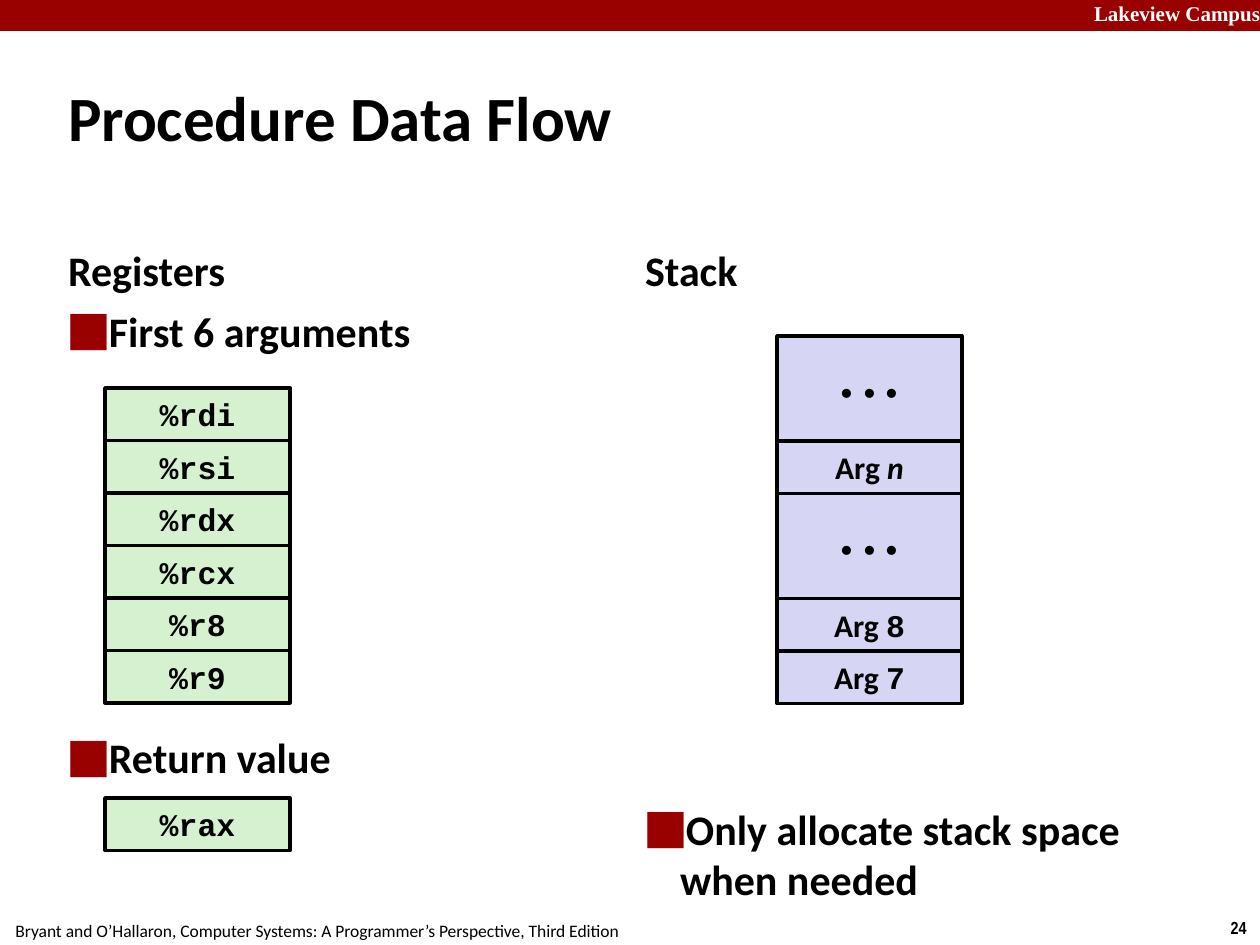
from lxml.etree import SubElement
from pptx import Presentation
from pptx.dml.color import RGBColor
from pptx.enum.shapes import MSO_SHAPE as Shape
from pptx.enum.text import MSO_ANCHOR as Anchor, MSO_AUTO_SIZE as AutoSize, PP_ALIGN as Align
from pptx.oxml.ns import qn
from pptx.util import Emu, Pt

# Content
TITLE = "Procedure Data Flow"
HEADINGS = ["Registers", "Stack"]
REGISTER_POINTS = [("First 6 arguments", 0), ("Return value", 215)]  # text, space before
STACK_POINTS = [("Only allocate stack space when needed", 0)]
ARGUMENT_REGISTERS = ["%rdi", "%rsi", "%rdx", "%rcx", "%r8", "%r9"]
RETURN_REGISTER = "%rax"
DOTS = "• • •"
STACK_ROWS = [DOTS, "n", DOTS, "8", "7"]  # top to bottom
SCHOOL = "Lakeview Campus"
BOOK = "Bryant and O’Hallaron, Computer Systems: A Programmer’s Perspective, Third Edition"
PAGE_NUMBER = "24"

# Style
BLACK = RGBColor(0x00, 0x00, 0x00)
WHITE = RGBColor(0xFF, 0xFF, 0xFF)
RED = RGBColor(0x99, 0x00, 0x00)
GREEN = RGBColor(0xD5, 0xF1, 0xCF)
LILAC = RGBColor(0xD6, 0xD6, 0xF4)
SANS, MONO = "Calibri", "Courier New"

# Geometry in px
SCALE = 914400 / 126
COLUMNS = [63, 640]
COLUMN_WIDTH = 557
ROW, CELL_WIDTH = 105 / 2, 185
REGISTER_LEFT, REGISTER_TOP, RETURN_TOP = 105, 388, 798
STACK_LEFT, STACK_TOP = 777, 336
INSET, INDENT = 5, 35


def px(value):
    return Emu(round(value * SCALE))


def place(shape, left, top, width, height):
    shape.left, shape.top = px(left), px(top)
    shape.width, shape.height = px(width), px(height)


def set_frame(shape, anchor, across=INSET, down=INSET, wrap=True):
    frame = shape.text_frame
    frame.auto_size = AutoSize.NONE
    frame.word_wrap = wrap
    frame.vertical_anchor = anchor
    frame.margin_left = frame.margin_right = px(across)
    frame.margin_top = frame.margin_bottom = px(down)
    return frame


def add_span(para, text, size, font=SANS, color=BLACK, bold=True, italic=False):
    span = para.add_run()
    span.text = text
    span.font.size, span.font.name = Pt(size), font
    span.font.bold, span.font.italic = bold, italic
    span.font.color.rgb = color


def set_bullet(para, char=None):
    props = para._p.get_or_add_pPr()
    indent = px(INDENT) if char else 0
    props.set("marL", str(indent))
    props.set("indent", str(-indent))
    if char:
        color = SubElement(props, qn("a:buClr"))
        SubElement(color, qn("a:srgbClr"), val=str(RED))
        SubElement(props, qn("a:buChar"), char=char)
    else:
        SubElement(props, qn("a:buNone"))


def fill_line(holder, text, size, anchor):
    para = set_frame(holder, anchor).paragraphs[0]
    para.alignment, para.space_before = Align.LEFT, Pt(0)
    set_bullet(para)
    add_span(para, text, size)


def fill_list(holder, points):
    frame = set_frame(holder, Anchor.TOP)
    for i, (text, gap) in enumerate(points):
        para = frame.add_paragraph() if i else frame.paragraphs[0]
        para.space_before = Pt(gap)
        set_bullet(para, "⬛")
        add_span(para, text, 24)


def add_rect(shapes, left, top, width, height, color):
    box = shapes.add_shape(Shape.RECTANGLE, px(left), px(top), px(width), px(height))
    box.shadow.inherit = False
    box.fill.solid()
    box.fill.fore_color.rgb = color
    box.line.fill.background()
    return box


def add_cell(shapes, left, top, height, color, inset=INSET):
    box = add_rect(shapes, left, top, CELL_WIDTH, height, color)
    box.line.color.rgb, box.line.width = BLACK, Pt(2)
    para = set_frame(box, Anchor.MIDDLE, inset, inset).paragraphs[0]
    para.alignment = Align.CENTER
    return para


def add_label(page, area, text, align, across, down, **style):
    box = page.shapes.add_textbox(*map(px, area))
    para = set_frame(box, Anchor.TOP, across, down, wrap=False).paragraphs[0]
    para.alignment = align
    add_span(para, text, **style)


def main():
    deck = Presentation()
    deck.slide_width, deck.slide_height = px(1260), px(945)
    page = deck.slides.add_slide(deck.slide_layouts.get_by_name("Comparison"))
    title, *bodies = page.placeholders

    # Banner and footer
    add_rect(page.shapes, 0, 0, 1260, 31, RED)
    add_label(page, (1089, -4, 181, 35), SCHOOL, Align.LEFT, INSET, INSET,
              size=12, font="Times New Roman", color=WHITE)
    add_label(page, (-3, 914, 640, 34), BOOK, Align.CENTER, 13, 6, size=10, bold=False)
    add_label(page, (1217, 911, 43, 34), PAGE_NUMBER, Align.CENTER, 13, 6,
              size=10, font="Arial Narrow")

    # Title, headings and lists
    place(title, 63, 38, 1134, 157)
    fill_line(title, TITLE, 36, Anchor.MIDDLE)
    for holder, text, left in zip(bodies[::2], HEADINGS, COLUMNS):
        place(holder, left, 212, COLUMN_WIDTH, 88)
        fill_line(holder, text, 24, Anchor.BOTTOM)
    register_list, stack_list = bodies[1::2]
    place(register_list, COLUMNS[0], 300, COLUMN_WIDTH, 544)
    fill_list(register_list, REGISTER_POINTS)
    place(stack_list, COLUMNS[1], 798, COLUMN_WIDTH, 46)
    fill_list(stack_list, STACK_POINTS)

    # Registers
    registers = [(name, REGISTER_TOP + i * ROW) for i, name in enumerate(ARGUMENT_REGISTERS)]
    for name, top in registers + [(RETURN_REGISTER, RETURN_TOP)]:
        para = add_cell(page.shapes, REGISTER_LEFT, top, ROW, GREEN)
        add_span(para, name, 18, MONO)

    # Stack, with dotted rows twice as tall
    stack = page.shapes.add_group_shape()
    top = STACK_TOP
    for label in STACK_ROWS:
        dotted = label == DOTS
        height = 2 * ROW if dotted else ROW
        para = add_cell(stack.shapes, STACK_LEFT, top, height, LILAC, 0 if dotted else INSET)
        if dotted:
            add_span(para, DOTS, 24, "Cabin", bold=False)
        else:
            add_span(para, "Arg ", 18)
            number = label.isdigit()
            add_span(para, label, 18, MONO if number else SANS, italic=not number)
        top += height

    deck.save("out.pptx")


if __name__ == "__main__":
    main()
